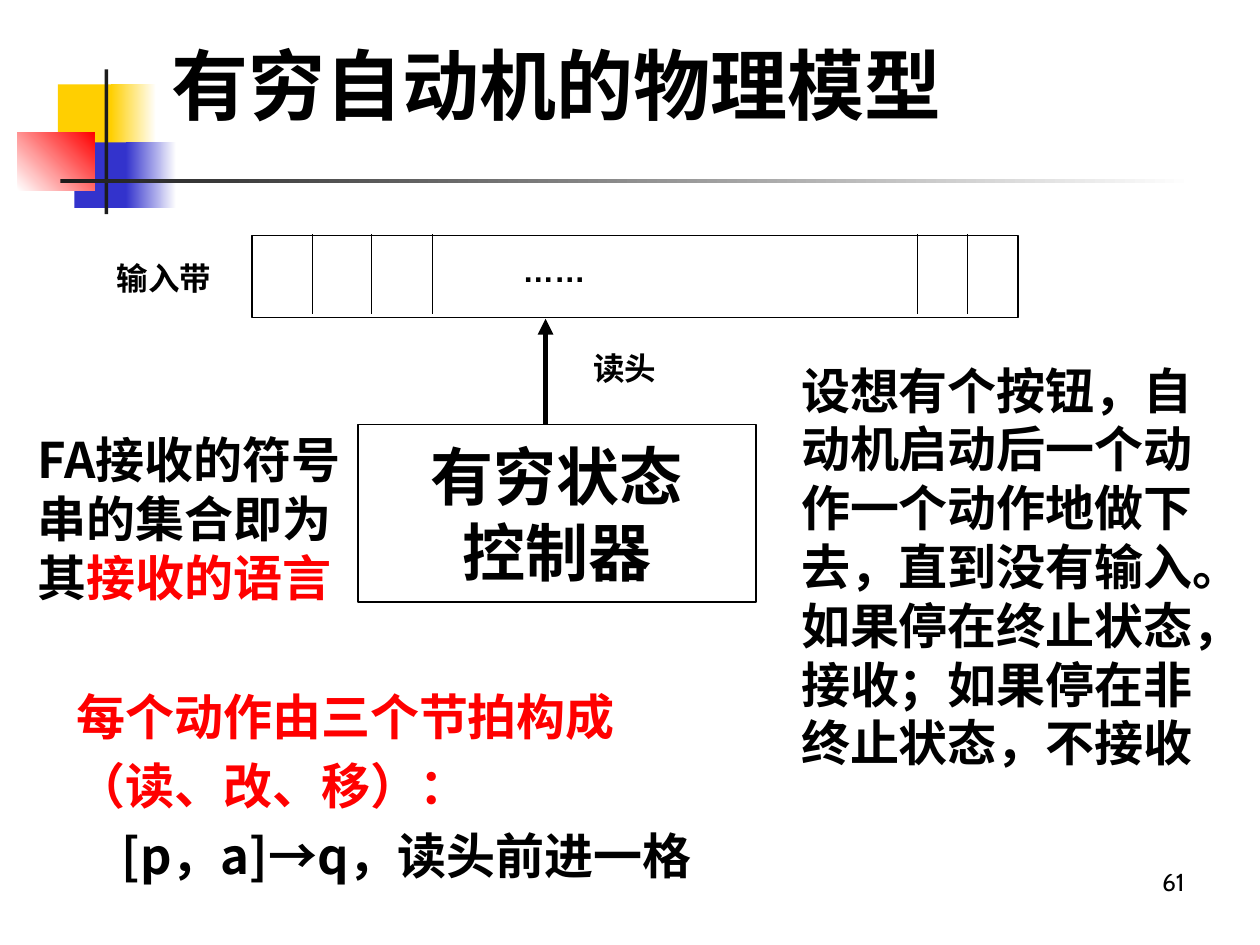
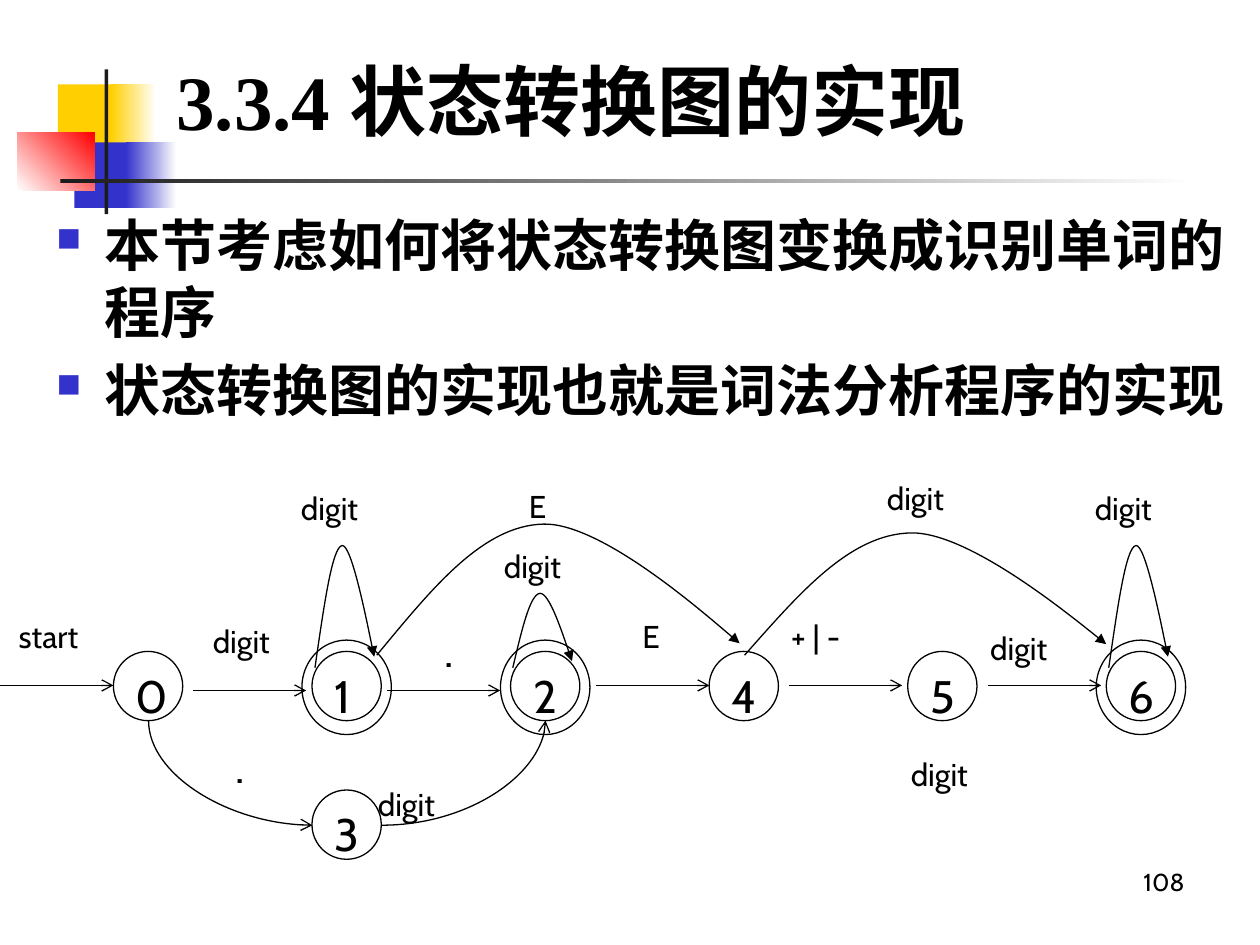
from lxml import etree
from pptx import Presentation
from pptx.dml.color import RGBColor
from pptx.enum.shapes import MSO_CONNECTOR, MSO_SHAPE
from pptx.enum.text import MSO_ANCHOR, MSO_AUTO_SIZE, PP_ALIGN
from pptx.oxml.ns import qn
from pptx.util import Inches, Pt

RECTANGLE, OVAL = MSO_SHAPE.RECTANGLE, MSO_SHAPE.OVAL
STRAIGHT, CURVE = MSO_CONNECTOR.STRAIGHT, MSO_CONNECTOR.CURVE
LEFT, CENTER, RIGHT = PP_ALIGN.LEFT, PP_ALIGN.CENTER, PP_ALIGN.RIGHT
TOP, MIDDLE, BOTTOM = MSO_ANCHOR.TOP, MSO_ANCHOR.MIDDLE, MSO_ANCHOR.BOTTOM
BLACK, WHITE, INK = "000000", "FFFFFF", "1C1C1C"
RED, YELLOW, BLUE = "FF0000", "FFCF01", "3333CC"
SERIF, SANS, CJK = "Times New Roman", "Cabin", "Noto Sans CJK SC"


def write(shape, *paragraphs, size=18, font=SANS, color=BLACK, bold=False, align=LEFT,
          anchor=TOP, wrap=True, before=0, pitch=None, bullet=None, indents=()):
    """Fill a shape with paragraphs; each is a string or a list of (text, overrides) spans."""
    frame = shape.text_frame
    frame.auto_size = MSO_AUTO_SIZE.NONE
    frame.word_wrap = wrap
    frame.vertical_anchor = anchor
    for index, content in enumerate(paragraphs):
        para = frame.add_paragraph() if index else frame.paragraphs[0]
        para.alignment = align
        para.space_before = Pt(before if index else 0)
        if pitch:
            para.line_spacing = Pt(pitch)
        properties = para._p.get_or_add_pPr()
        if indents:
            properties.set("marL", str(Inches(indents[index])))
        if bullet:
            properties.set("indent", str(-Inches(indents[index])))
            bullet_color = etree.SubElement(properties, qn("a:buClr"))
            etree.SubElement(bullet_color, qn("a:srgbClr"), val=BLUE)
            etree.SubElement(properties, qn("a:buSzPct"), val="60000")
            etree.SubElement(properties, qn("a:buChar"), char=bullet)
        spans = [(content, {})] if isinstance(content, str) else content
        for text, overrides in spans:
            span = para.add_run()
            span.text = text
            span.font.size = Pt(size)
            span.font.bold = bold
            span.font.color.rgb = RGBColor.from_string(overrides.get("color", color))
            span.font.name = overrides.get("font", font)


def outline(shape, width=0.75, arrow=None, arrow_end="a:tailEnd"):
    """Give a shape or connector a plain black line, without shadow."""
    shape.line.color.rgb = RGBColor.from_string(BLACK)
    shape.line.width = Pt(width)
    if arrow:
        etree.SubElement(shape.line._get_or_add_ln(), qn(arrow_end), type=arrow)
    etree.SubElement(shape._element.spPr, qn("a:effectLst"))


deck = Presentation()
deck.slide_width, deck.slide_height = Inches(10), Inches(7.5)
title_only = deck.slide_layouts[5]
model_page = deck.slides.add_slide(title_only)
diagram_page = deck.slides.add_slide(title_only)

# Shared decoration: drawn once, then moved to the slide master
decoration = [
    (0.46, 0.67, 0.48, 0.52, [YELLOW], 0),
    (0.88, 0.67, 0.36, 0.52, [YELLOW, WHITE], 0),
    (0.59, 1.13, 0.46, 0.52, [BLUE], 0),
    (1, 1.13, 0.4, 0.52, [BLUE, WHITE], 0),
    (0.14, 1.05, 0.61, 0.46, [WHITE, RED], 45),
    (0.83, 0.55, 0.03, 1.15, [INK], 0),
    (0.48, 1.42, 9, 0.03, [INK, WHITE], 0),
]
for number, (*place, colors, angle) in enumerate(decoration, start=20):
    block = model_page.shapes.add_shape(RECTANGLE, *map(Inches, place))
    block.line.fill.background()
    block.shadow.inherit = False
    if len(colors) == 1:
        block.fill.solid()
        block.fill.fore_color.rgb = RGBColor.from_string(colors[0])
    else:
        block.fill.gradient()
        block.fill.gradient_angle = angle
        for stop, color in zip(block.fill.gradient_stops, colors):
            stop.color.rgb = RGBColor.from_string(color)
    block._element.nvSpPr.cNvPr.set("id", str(number))
    deck.slide_master.shapes._spTree.append(block._element)

# Titles and page numbers
headings = [
    (model_page, (1.26, 0.44, 6.97, 0.64), BOTTOM, ["有穷自动机的物理模型"], "61"),
    (diagram_page, (1.3, 0.36, 6.85, 0.87), MIDDLE,
     [[("3.3.4 ", {}), ("状态转换图的实现", {"font": SANS})]], "108"),
]
for page, place, anchor, heading, number in headings:
    title = page.shapes.title
    title.left, title.top, title.width, title.height = map(Inches, place)
    write(title, *heading, size=44, font=SERIF, bold=True, anchor=anchor)
    box = page.shapes.add_textbox(Inches(7.17), Inches(6.83), Inches(2.33), Inches(0.52))
    write(box, number, size=14, align=RIGHT)

# Slide 1: input tape, reading head and controller
shapes = model_page.shapes
tape = shapes.add_shape(RECTANGLE, Inches(2), Inches(1.87), Inches(6.08), Inches(0.65))
controller = shapes.add_shape(RECTANGLE, Inches(2.84), Inches(3.37), Inches(3.16), Inches(1.41))
for box in (tape, controller):
    box.fill.background()
    outline(box, width=1)
write(controller, "有穷状态", "控制器", size=36, font=SERIF, bold=True,
      align=CENTER, anchor=MIDDLE, wrap=False)

head = shapes.add_connector(STRAIGHT, Inches(4.33), Inches(3.37), Inches(4.33), Inches(2.53))
outline(head, width=3, arrow="triangle")
for x in (2.48, 2.95, 3.43, 7.28, 7.68):
    divider = shapes.add_connector(STRAIGHT, Inches(x), Inches(1.86), Inches(x), Inches(2.49))
    outline(divider)

for text, left, top, font in [("输入带", 0.83, 2.01, SANS), ("读头", 4.61, 2.72, SANS),
                              ("……", 4.05, 1.94, "Arial")]:
    box = shapes.add_textbox(Inches(left), Inches(top), Inches(1.02), Inches(0.4))
    write(box, text, font=font, bold=True)

beats = shapes.add_textbox(Inches(0.51), Inches(5.4), Inches(6.3), Inches(1.68))
write(beats, "每个动作由三个节拍构成", "（读、改、移）：",
      [("[p，a]→q，读头前进一格", {"color": BLACK})],
      size=28, font=CJK, color=RED, bold=True, before=6, pitch=33.6, indents=(0, 0, 0.36))
language = shapes.add_textbox(Inches(0.2), Inches(3.36), Inches(2.6), Inches(1.5))
write(language, [("FA接收的符号串的集合即为其", {}), ("接收的语言", {"color": RED})],
      size=28, font=CJK, bold=True, pitch=33.6)
story = shapes.add_textbox(Inches(6.26), Inches(2.81), Inches(3.62), Inches(3.37))
write(story, "设想有个按钮，自动机启动后一个动作一个动作地做下去，直到没有输入。"
      "如果停在终止状态，接收；如果停在非终止状态，不接收",
      size=28, bold=True, pitch=33.6)

# Slide 2: transition diagram
shapes = diagram_page.shapes
STATE_SIZE, STATE_TOP = 0.55, 5.17
STATE_STEP = (8.78 - 0.9) / 5
states = [(name, 0.9 + STATE_STEP * column, STATE_TOP) for column, name in enumerate("012456")]
states.append(("3", 0.9 + STATE_STEP, 6.27))
for name, left, top in states:
    state = shapes.add_shape(OVAL, Inches(left), Inches(top), Inches(STATE_SIZE), Inches(STATE_SIZE))
    state.fill.background()
    outline(state)
    write(state, name, size=26)
    if name in "126":
        ring = shapes.add_shape(OVAL, Inches(left - 0.08), Inches(top - 0.09),
                                Inches(0.71), Inches(0.75))
        ring.fill.background()
        outline(ring)

for start, y in [(0, 5.44), (1.53, 5.48), (3.07, 5.48), (4.73, 5.44), (6.26, 5.44), (7.84, 5.44)]:
    step = shapes.add_connector(STRAIGHT, Inches(start), Inches(y), Inches(start + 0.9), Inches(y))
    outline(step, arrow="arrow")

# Both curves leave state 3 sideways; the left one points back to it
for start, end, arrow_end in [(2.48, 1.18, "a:headEnd"), (3.03, 4.33, "a:tailEnd")]:
    bend = shapes.add_connector(CURVE, Inches(start), Inches(6.55), Inches(end), Inches(5.72))
    bend._element.spPr.find(qn("a:prstGeom")).set("prst", "curvedConnector2")
    outline(bend, arrow="arrow", arrow_end=arrow_end)

# Every arc has the same profile, as shares of its width and height
PROFILE = [(0.15, 0.5), (0.29, 0.99), (0.46, 1), (0.62, 1.01), (1, 0.09), (1, 0.09)]
arcs = [(2.5, 5.3, 0.47, 0.97), (4.07, 5.3, 0.47, 0.59), (8.8, 5.3, 0.47, 0.97),
        (5.91, 5.2, 2.87, 0.97), (2.99, 5.2, 2.88, 1.04)]
for left, base, width, height in arcs:
    builder = shapes.build_freeform(Inches(left), Inches(base))
    builder.add_line_segments([(Inches(left + width * x), Inches(base - height * y))
                               for x, y in PROFILE], close=False)
    arc = builder.convert_to_shape()
    outline_path = arc._element.find(".//" + qn("a:path"))
    segments = outline_path.findall(qn("a:lnTo"))
    for first in (0, 3):
        cubic = etree.SubElement(outline_path, qn("a:cubicBezTo"))
        for segment in segments[first:first + 3]:
            cubic.append(segment[0])
            outline_path.remove(segment)
    arc.fill.background()
    outline(arc, arrow="triangle")

labels = [
    ("start", 0.05, 4.85, 0.71), ("digit", 1.59, 4.89, 0.68), ("E", 5, 4.85, 0.34),
    ("+ | -", 6.18, 4.85, 0.73), ("digit", 7.76, 4.94, 0.68), ("digit", 2.29, 3.83, 0.68),
    ("E", 4.1, 3.82, 0.34), ("digit", 6.94, 3.75, 0.68), ("digit", 8.59, 3.83, 0.68),
    ("digit", 2.9, 6.18, 0.68), ("digit", 7.13, 5.94, 0.68), ("digit", 3.9, 4.29, 0.68),
    (".", 3.43, 4.89, 0.31), (".", 1.77, 5.81, 0.31),
]
for text, left, top, width in labels:
    size, height = (26, 0.54) if text == "." else (18, 0.4)
    box = shapes.add_textbox(Inches(left), Inches(top), Inches(width), Inches(height))
    write(box, text, size=size, wrap=False)

points = shapes.add_textbox(Inches(0.35), Inches(1.62), Inches(9.5), Inches(5.43))
write(points, "本节考虑如何将状态转换图变换成识别单词的程序", "状态转换图的实现也就是词法分析程序的实现",
      size=32, font=CJK, bold=True, before=6.4, pitch=38.4, bullet="■", indents=(0.38, 0.38))

deck.save("out.pptx")
